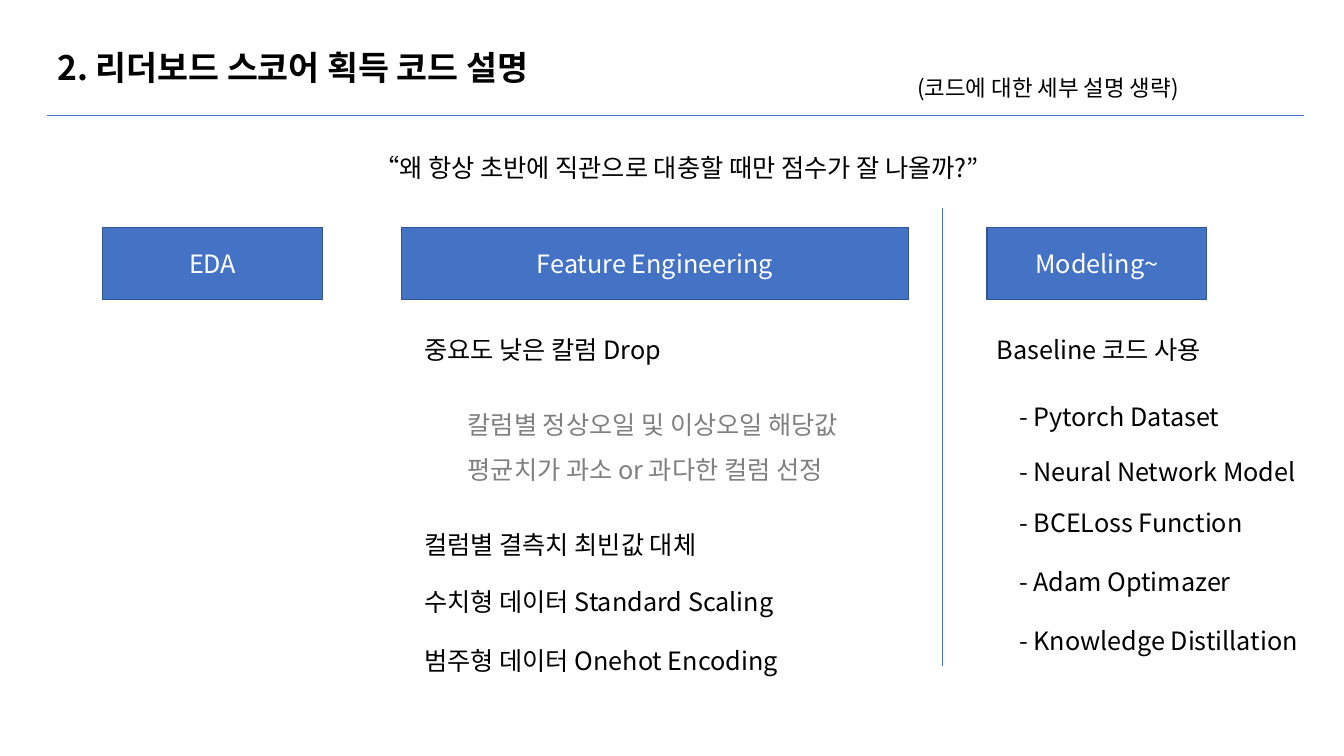
from lxml import etree
from pptx import Presentation
from pptx.dml.color import RGBColor
from pptx.enum.shapes import MSO_CONNECTOR, MSO_SHAPE
from pptx.enum.text import MSO_ANCHOR, MSO_AUTO_SIZE, PP_ALIGN
from pptx.oxml.ns import qn
from pptx.util import Inches, Pt

STRAIGHT = MSO_CONNECTOR.STRAIGHT
RECTANGLE = MSO_SHAPE.RECTANGLE
MIDDLE = MSO_ANCHOR.MIDDLE
GROW = MSO_AUTO_SIZE.SHAPE_TO_FIT_TEXT
LEFT, CENTER = PP_ALIGN.LEFT, PP_ALIGN.CENTER

BLACK = RGBColor(0x00, 0x00, 0x00)
WHITE = RGBColor(0xFF, 0xFF, 0xFF)
GRAY = RGBColor(0x80, 0x80, 0x80)
BLUE = RGBColor(0x44, 0x72, 0xC4)
DARK_BLUE = RGBColor(0x32, 0x54, 0x91)
FONT = "Noto Sans CJK KR"

WIDTH, HEIGHT = Inches(13.33), Inches(7.5)
MARGIN = 3.53
FEATURE_LEFT, FEATURE_WIDTH = 30.83, 32.41
MODEL_LEFT, MODEL_WIDTH = 73.44, 22.73
MODEL_INDENT = 75.09
FIRST_ROW = 43.6
LINE_HEIGHT = 5.33
STAGE_TOP, STAGE_HEIGHT = 30.13, 9.47

STAGES = [
    ("EDA", 7.65, 16.35),
    ("Feature Engineering", 29.86, 37.73),
    ("Modeling~", MODEL_LEFT, 16.35),
]
FEATURE_STEPS = [
    ("중요도 낮은 칼럼 Drop", FIRST_ROW),
    ("컬럼별 결측치 최빈값 대체", 69.33),
    ("수치형 데이터 Standard Scaling", 76.93),
    ("범주형 데이터 Onehot Encoding", 84.67),
]
MODEL_PARTS = [
    ("- Pytorch Dataset", 52.4),
    ("- Neural Network Model", 59.73),
    ("- BCELoss Function", 66.4),
    ("- Adam Optimazer", 74.27),
    ("- Knowledge Distillation", 82),
]


def across(percent):
    return round(WIDTH * percent / 100)


def down(percent):
    return round(HEIGHT * percent / 100)


def place(left, top, width, height):
    return across(left), down(top), across(width), down(height)


def write(frame, text, size=18, color=BLACK, bold=False, align=LEFT, spacing=None):
    frame.word_wrap = True
    frame.text = text
    for para in frame.paragraphs:
        para.alignment = align
        para.line_spacing = spacing
        for span in para.runs:
            span.font.name = FONT
            span.font.size = Pt(size)
            span.font.bold = bold
            span.font.color.rgb = color
            east_asian = etree.SubElement(span.font._element, qn("a:ea"))
            east_asian.set("typeface", FONT)


def add_text(page, text, left, top, width, height=LINE_HEIGHT, **style):
    box = page.shapes.add_textbox(*place(left, top, width, height))
    write(box.text_frame, text, **style)
    box.text_frame.auto_size = GROW


def add_stage(page, name, left, width):
    box = page.shapes.add_shape(RECTANGLE, *place(left, STAGE_TOP, width, STAGE_HEIGHT))
    box.shadow.inherit = False
    box.fill.solid()
    box.fill.fore_color.rgb = BLUE
    box.line.color.rgb = DARK_BLUE
    box.line.width = Pt(1)
    box.text_frame.vertical_anchor = MIDDLE
    write(box.text_frame, name, color=WHITE, align=CENTER)


def add_rule(page, left, top, right, bottom):
    rule = page.shapes.add_connector(
        STRAIGHT, across(left), down(top), across(right), down(bottom)
    )
    rule.line.color.rgb = BLUE
    rule.line.width = Pt(0.5)
    etree.SubElement(rule._element.spPr, qn("a:effectLst"))


def main():
    deck = Presentation()
    deck.slide_width, deck.slide_height = WIDTH, HEIGHT
    page = deck.slides.add_slide(deck.slide_layouts[6])

    add_text(page, "2. 리더보드 스코어 획득 코드 설명", MARGIN, 5.6, 50.41, 6.67,
             size=24, bold=True)
    add_text(page, "(코드에 대한 세부 설명 생략)", 67.52, 9.2, 24.76, 4.93, size=16)
    add_rule(page, MARGIN, 15.2, 97, 15.2)
    add_text(page, "“왜 항상 초반에 직관으로 대충할 때만 점수가 잘 나올까?”",
             24.31, 19.47, 51.99, align=CENTER)

    for name, left, width in STAGES:
        add_stage(page, name, left, width)
    add_rule(page, 70.14, 27.47, 70.14, 88.13)

    for step, top in FEATURE_STEPS:
        add_text(page, step, FEATURE_LEFT, top, FEATURE_WIDTH)
    add_text(page, "칼럼별 정상오일 및 이상오일 해당값\n평균치가 과소 or 과다한 컬럼 선정",
             34.06, 51.47, FEATURE_WIDTH, 12.67, color=GRAY, spacing=1.5)

    add_text(page, "Baseline 코드 사용", MODEL_LEFT, FIRST_ROW, MODEL_WIDTH)
    for part, top in MODEL_PARTS:
        add_text(page, part, MODEL_INDENT, top, MODEL_WIDTH)

    deck.save("out.pptx")


if __name__ == "__main__":
    main()
